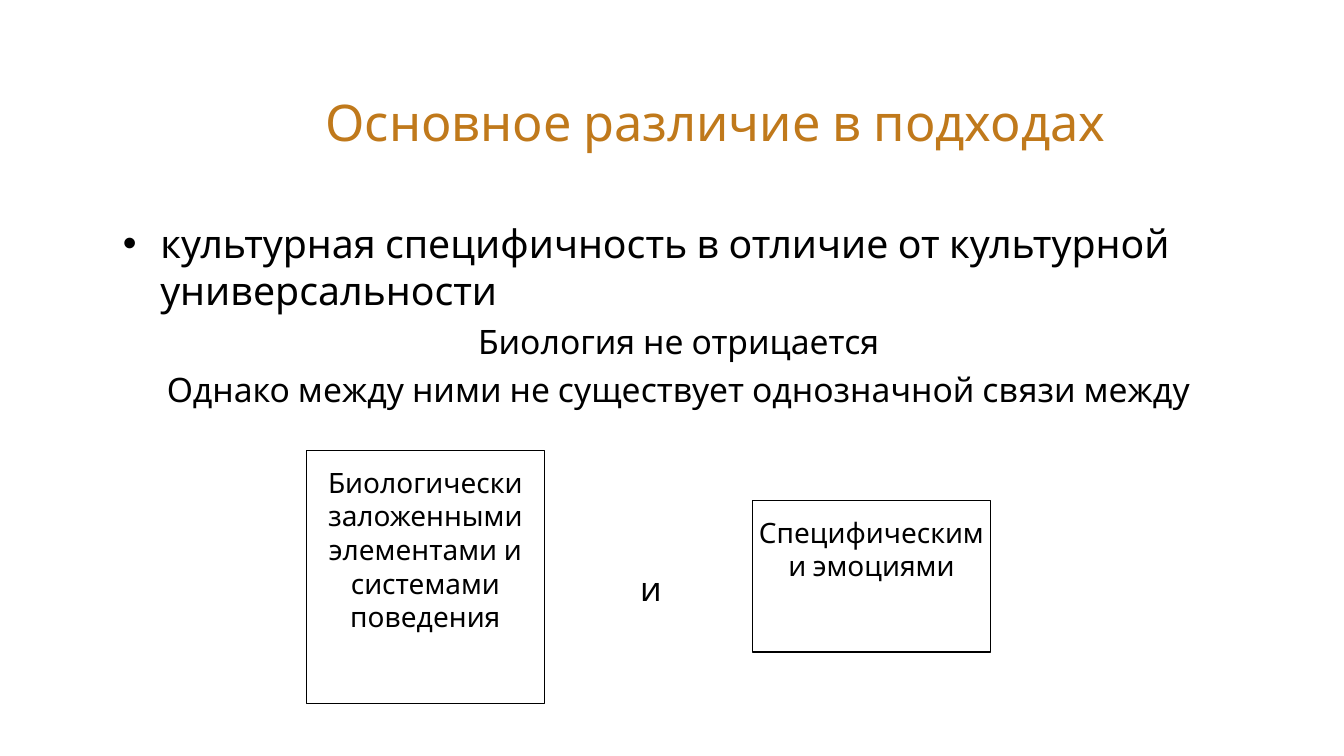
from lxml.etree import SubElement
from pptx import Presentation
from pptx.dml.color import RGBColor
from pptx.enum.shapes import MSO_SHAPE as Shape
from pptx.enum.text import MSO_ANCHOR as Anchor, MSO_AUTO_SIZE as AutoSize, PP_ALIGN as Align
from pptx.oxml.ns import qn
from pptx.util import Cm, Pt

BLACK = "000000"
OCHRE = "C0791B"


def place(box, left, top, width, height, inset_top):
    """Position a text holder, set its insets and return its text frame."""
    box.left, box.top, box.width, box.height = Cm(left), Cm(top), Cm(width), Cm(height)
    frame = box.text_frame
    frame.word_wrap = True
    frame.auto_size = AutoSize.NONE
    frame.vertical_anchor = Anchor.TOP
    frame.margin_left = frame.margin_right = frame.margin_bottom = 0
    frame.margin_top = Cm(inset_top)
    return frame


def write(paragraph, text, size, color=BLACK, align=Align.LEFT, margin=0, indent=0, before=0, bullet=None):
    """Fill one paragraph with a single formatted run."""
    paragraph.alignment = align
    paragraph.space_before = Pt(before)
    props = paragraph._p.get_or_add_pPr()
    props.set("marL", str(Cm(margin)))
    props.set("indent", str(Cm(indent)))
    if bullet:
        bullet_color = SubElement(props, qn("a:buClr"))
        SubElement(bullet_color, qn("a:srgbClr"), val=color)
        SubElement(props, qn("a:buFont"), typeface="Arial")
        SubElement(props, qn("a:buChar"), char=bullet)
    else:
        SubElement(props, qn("a:buNone"))
    run = paragraph.add_run()
    run.text = text
    run.font.name = "Karla"
    run.font.size = Pt(size)
    run.font.color.rgb = RGBColor.from_string(color)


prs = Presentation()
prs.slide_width, prs.slide_height = Cm(25.4), Cm(14.28)
slide = prs.slides.add_slide(prs.slide_layouts[1])

# Title
title = place(slide.shapes.title, 2.29, 1.02, 19.28, 1.75, 0.61)
write(title.paragraphs[0], "Основное различие в подходах", 27, OCHRE, margin=6.55, indent=-2.69)
title.paragraphs[0].line_spacing = 1.08

# Thesis and the two centred remarks
thesis = place(slide.placeholders[1], 2.29, 3.94, 20.98, 5.64, 0.2)
write(thesis.paragraphs[0], "культурная специфичность в отличие от культурной универсальности", 21,
      margin=0.74, indent=-0.71, bullet="•")
for remark in ("Биология не отрицается",
               "Однако между ними не существует однозначной связи между"):
    write(thesis.add_paragraph(), remark, 18, align=Align.CENTER, margin=0.1, before=4)

# The two sides being compared
for side, left, top, height in (
    ("Биологически заложенными элементами и системами поведения", 5.79, 8.51, 4.78),
    ("Специфическими эмоциями", 14.22, 9.45, 2.87),
):
    frame_box = slide.shapes.add_shape(Shape.RECTANGLE, 0, 0, 0, 0)
    frame_box.shadow.inherit = False
    frame_box.fill.background()
    frame_box.line.color.rgb = RGBColor.from_string(BLACK)
    frame_box.line.width = Pt(0.75)
    side_text = place(frame_box, left, top, 4.5, height, 0.28)
    write(side_text.paragraphs[0], side, 15, align=Align.CENTER)

# Conjunction between the sides
conjunction = place(slide.shapes.add_textbox(0, 0, 0, 0), 12.07, 10.69, 0.97, 0.79, 0.03)
write(conjunction.paragraphs[0], "и", 18, margin=0.03)

prs.save("out.pptx")
